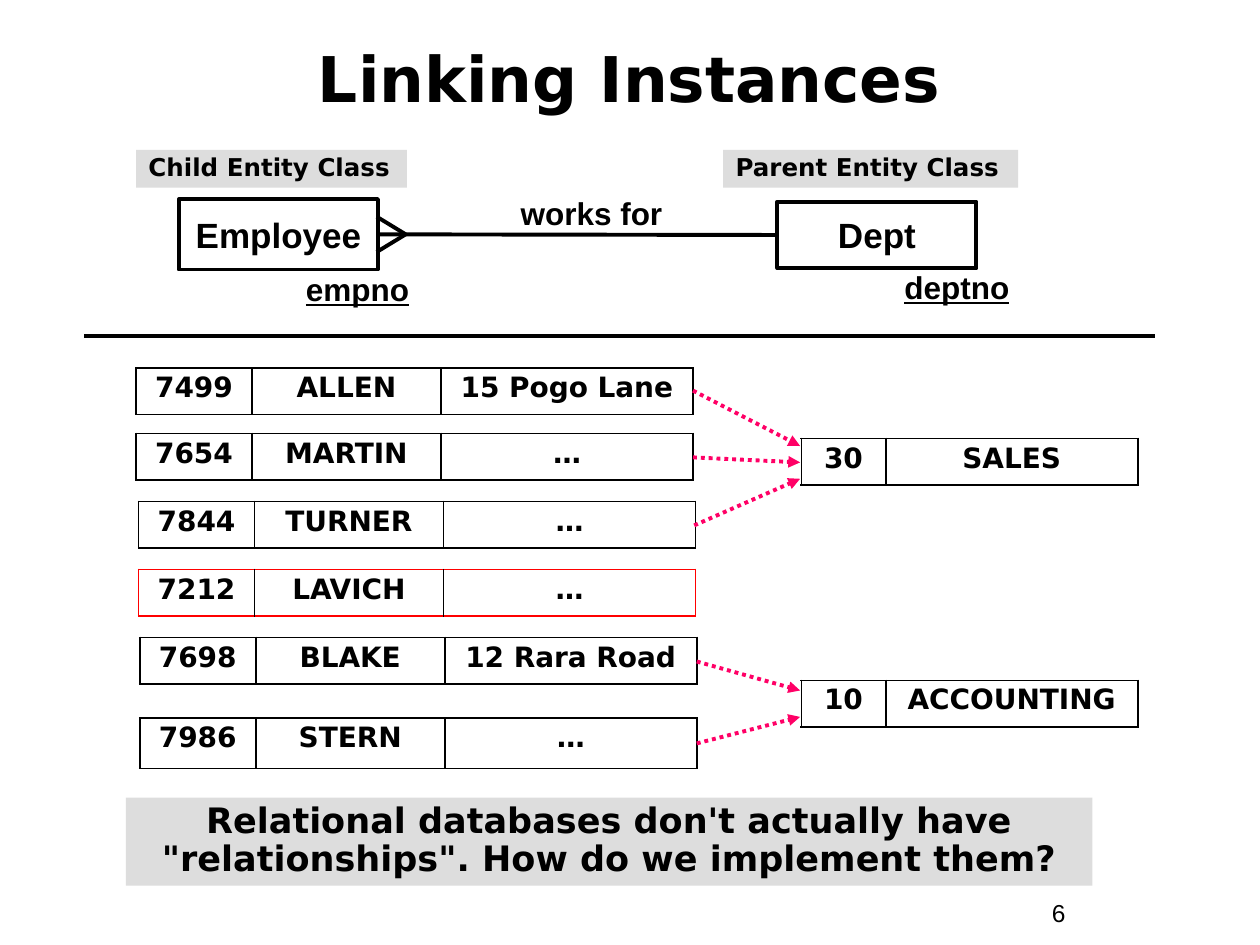
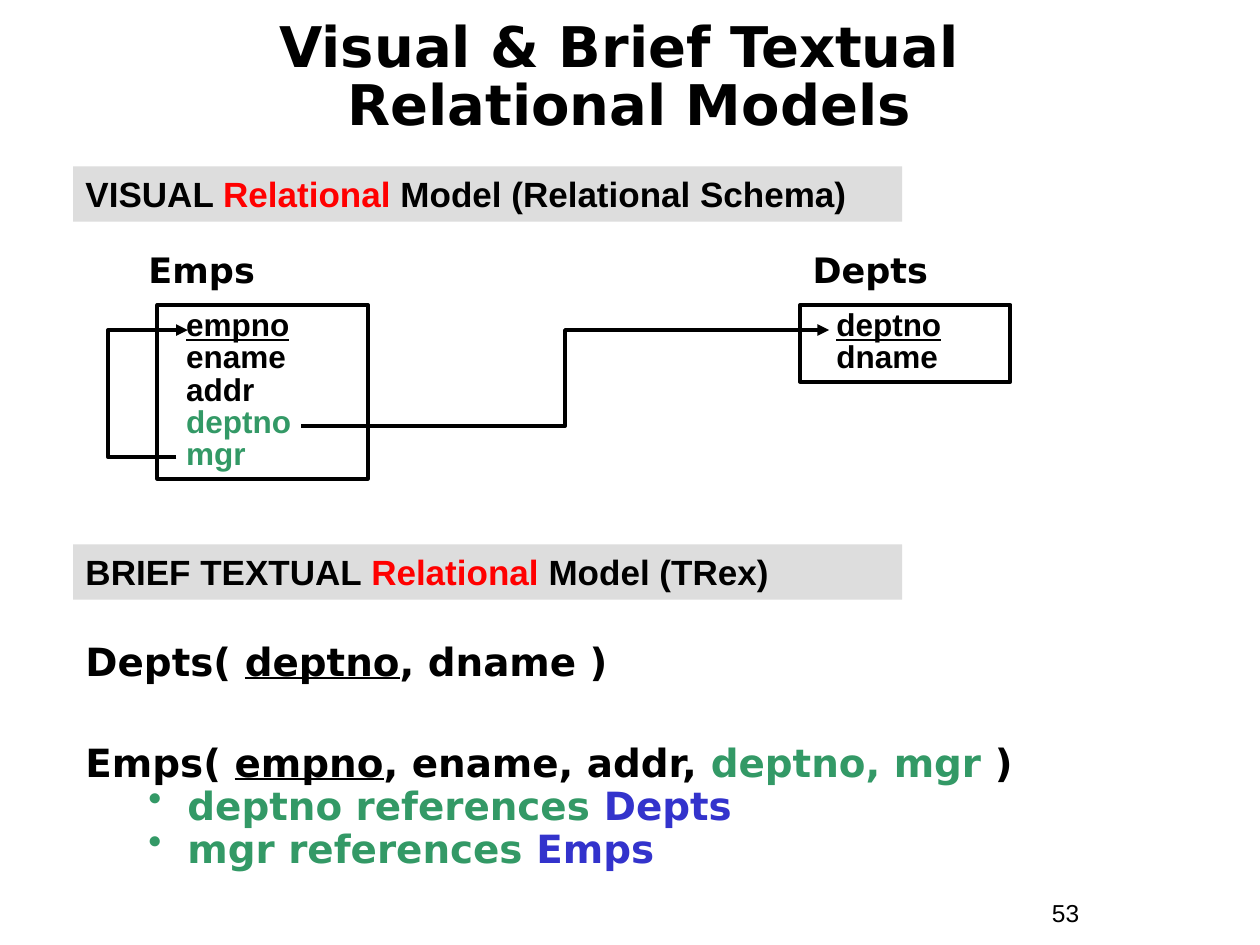
from dataclasses import dataclass

from lxml import etree
from pptx import Presentation
from pptx.dml.color import RGBColor
from pptx.enum.dml import MSO_LINE
from pptx.enum.shapes import MSO_CONNECTOR, MSO_SHAPE
from pptx.enum.text import MSO_ANCHOR, PP_ALIGN
from pptx.oxml.ns import qn
from pptx.util import Inches, Pt

DOTTED = MSO_LINE.ROUND_DOT
STRAIGHT, ELBOW = MSO_CONNECTOR.STRAIGHT, MSO_CONNECTOR.ELBOW
RECT = MSO_SHAPE.RECTANGLE
TOP, MIDDLE = MSO_ANCHOR.TOP, MSO_ANCHOR.MIDDLE
LEFT, CENTER = PP_ALIGN.LEFT, PP_ALIGN.CENTER
RIGHT_SIDE, LEFT_SIDE = 3, 1


@dataclass(frozen=True)
class Theme:
    ink: str = "000000"
    band: str = "DDDDDD"
    red: str = "FF0000"
    link: str = "FF0066"
    foreign_key: str = "339966"
    reference: str = "3333CC"
    sans: str = "Arial"
    display: str = "DejaVu Sans"
    title: float = 36
    long_title: float = 32
    model: float = 22.2
    heading: float = 20
    attribute: float = 18
    cell: float = 16
    small: float = 14
    stroke: float = 2.25
    cell_stroke: float = 1.08


T = Theme()


def rgb(color):
    return RGBColor.from_string(color)


def add_paragraph_text(p, runs, size, font, align=LEFT, spacing=1.0, bold=True):
    p.alignment = align
    p.line_spacing = spacing
    p.font.size = Pt(size)
    p.font.name = font
    p.font.bold = bold
    p.font.color.rgb = rgb(T.ink)
    for text, color, underline in runs:
        r = p.add_run()
        r.text = text
        if color != T.ink:
            r.font.color.rgb = rgb(color)
        if underline:
            r.font.underline = True


def run(text, color=T.ink, underline=False):
    return text, color, underline


def write(tf, lines, size, font, align=LEFT, spacing=1.0, anchor=TOP, bold=True, indent=0):
    tf.word_wrap = True
    tf.vertical_anchor = anchor
    for i, runs in enumerate(lines):
        p = tf.add_paragraph() if i else tf.paragraphs[0]
        if indent:
            p._p.get_or_add_pPr().set("marL", str(Inches(indent)))
        add_paragraph_text(p, runs, size, font, align, spacing, bold)


def add_text(slide, box, lines, size, font, **style):
    s = slide.shapes.add_textbox(*map(Inches, box))
    write(s.text_frame, lines, size, font, **style)
    return s


def add_box(slide, box, lines, size, font, fill=None, **style):
    s = slide.shapes.add_shape(RECT, *map(Inches, box))
    s.shadow.inherit = False
    if fill:
        s.fill.solid()
        s.fill.fore_color.rgb = rgb(fill)
        s.line.fill.background()
    else:
        s.fill.background()
        s.line.color.rgb = rgb(T.ink)
        s.line.width = Pt(T.stroke)
    write(s.text_frame, lines, size, font, **style)
    return s


def add_line(slide, start, end, color=T.ink, kind=STRAIGHT, arrow=False, dash=None, bend=None):
    cn = slide.shapes.add_connector(kind, *map(Inches, (*start, *end)))
    cn.line.color.rgb = rgb(color)
    cn.line.width = Pt(T.stroke)
    if dash:
        cn.line.dash_style = dash
    sp_pr = cn._element.spPr
    if arrow:
        etree.SubElement(sp_pr.find(qn("a:ln")), qn("a:tailEnd"), type="triangle")
    if bend is not None:
        guides = sp_pr.find(qn("a:prstGeom")).find(qn("a:avLst"))
        etree.SubElement(guides, qn("a:gd"), name="adj1", fmla=f"val {round(bend * 100000)}")
    etree.SubElement(sp_pr, qn("a:effectLst"))
    return cn


def set_border(cell, side, color):
    ln = etree.SubElement(cell._tc.get_or_add_tcPr(), qn(f"a:{side}"), w=str(Pt(T.cell_stroke)))
    fill = etree.SubElement(ln, qn("a:solidFill"))
    etree.SubElement(fill, qn("a:srgbClr"), val=color)


def add_record(slide, left, top, height, widths, values, edge=T.ink):
    frame = slide.shapes.add_table(
        1, len(values), *map(Inches, (left, top, sum(widths), height)))
    table = frame.table
    table.first_row = table.horz_banding = False
    table.rows[0].height = Inches(height)
    last = len(values) - 1
    for i, (width, value) in enumerate(zip(widths, values)):
        table.columns[i].width = Inches(width)
        cell = table.cell(0, i)
        write(cell.text_frame, [[run(value)]], T.cell, T.display, align=CENTER, spacing=0.9)
        set_border(cell, "lnL", edge if i == 0 else T.ink)
        set_border(cell, "lnR", edge if i == last else T.ink)
        set_border(cell, "lnT", edge)
        set_border(cell, "lnB", edge)
        cell.fill.background()


def add_frame(prs, title, size, number, top, spacing=1.0):
    slide = prs.slides.add_slide(prs.slide_layouts[6])
    add_text(slide, (8.25, 7.08, 0.92, 0.34), [[run(number)]], T.small, T.sans, bold=False)
    add_text(slide, (0.33, top, 9.33, 0.92), [[run(title)]], size, T.display,
             align=CENTER, spacing=spacing, anchor=MIDDLE)
    return slide


def entity_diagram(slide, x, y):
    for dx, width, label in ((0, 2.15, "Child Entity Class"), (4.66, 2.34, "Parent Entity Class")):
        add_box(slide, (x + dx, y, width, 0.3), [[run(label)]], T.small, T.display,
                fill=T.band, spacing=0.85)
    entities = []
    for dx, dy, height, name, key_dx, key_dy, key in (
            (0.34, 0.39, 0.56, "Employee", 1.25, 0.94, "empno"),
            (5.09, 0.41, 0.53, "Dept", 6, 0.92, "deptno")):
        s = add_box(slide, (x + dx, y + dy, 1.58, height), [[run(name)]],
                    T.heading, T.sans, align=CENTER, anchor=MIDDLE)
        s.text_frame.word_wrap = False
        entities.append(s)
        add_text(slide, (x + key_dx, y + key_dy, 1.17, 0.37), [[run(key, underline=True)]],
                 T.attribute, T.sans, spacing=0.9)
    add_text(slide, (x + 2.78, y + 0.3, 1.67, 0.4), [[run("works for")]],
             T.attribute, T.sans, align=CENTER)
    employee, dept = entities
    relation = add_line(slide, (x + 1.92, y + 0.67), (x + 5.09, y + 0.67))
    relation.begin_connect(employee, RIGHT_SIDE)
    relation.end_connect(dept, LEFT_SIDE)
    for toe in (-0.14, 0.14):
        add_line(slide, (x + 2.14, y + 0.67), (x + 1.91, y + 0.67 + toe))


def instance_tables(slide, x, y):
    employee_widths = (0.92, 1.5, 2)
    for dx, dy, height, values, edge in (
            (0, 0, 0.37, ("7499", "ALLEN", "15 Pogo Lane"), T.ink),
            (0, 0.52, 0.37, ("7654", "MARTIN", "…"), T.ink),
            (0.02, 1.06, 0.37, ("7844", "TURNER", "…"), T.ink),
            (0.02, 1.6, 0.37, ("7212", "LAVICH", "…"), T.red),
            (0.03, 2.14, 0.37, ("7698", "BLAKE", "12 Rara Road"), T.ink),
            (0.03, 2.78, 0.4, ("7986", "STERN", "…"), T.ink)):
        add_record(slide, x + dx, y + dy, height, employee_widths, values, edge)
    for dy, values in ((0.56, ("30", "SALES")), (2.48, ("10", "ACCOUNTING"))):
        add_record(slide, x + 5.28, y + dy, 0.37, (0.67, 2), values)
    for dx, start_dy, end_dy in ((4.42, 0.18, 0.62), (4.42, 0.71, 0.75), (4.43, 1.25, 0.88),
                                 (4.45, 2.33, 2.56), (4.45, 2.98, 2.77)):
        add_line(slide, (x + dx, y + start_dy), (x + 5.27, y + end_dy),
                 T.link, arrow=True, dash=DOTTED)


def linking_instances(prs):
    slide = add_frame(prs, "Linking Instances", T.title, "6", 0.15)
    entity_diagram(slide, 1.08, 1.19)
    add_line(slide, (0.67, 2.67), (9.17, 2.67))
    instance_tables(slide, 1.08, 2.92)
    question = ("Relational databases don't actually have \"relationships\". "
                "How do we implement them?")
    add_box(slide, (1, 6.33, 7.67, 0.7), [[run(question)]], T.heading, T.display,
            fill=T.band, align=CENTER, spacing=0.9)


def model_band(slide, y, before, after):
    add_box(slide, (0.58, y, 6.58, 0.44),
            [[run(before), run("Relational", T.red), run(after)]],
            T.heading, T.sans, fill=T.band)


def schema_diagram(slide, x, y):
    emps = [run("empno", underline=True), run("ename"), run("addr"),
            run("deptno", T.foreign_key), run("mgr", T.foreign_key)]
    depts = [run("deptno", underline=True), run("dname")]
    for name_dx, dx, height, indent, name, attributes in (
            (0, 0.17, 1.38, 0.13, "Emps", emps), (5.27, 5.27, 0.61, 0.19, "Depts", depts)):
        add_text(slide, (x + name_dx, y, 2.15, 0.44), [[run(name)]], T.heading, T.display)
        add_box(slide, (x + dx, y + 0.5, 1.67, height), [[a] for a in attributes],
                T.attribute, T.sans, spacing=0.85, indent=indent)
    add_line(slide, (x + 1.31, y + 1.46), (x + 5.5, y + 0.7), kind=ELBOW, arrow=True)
    add_line(slide, (x + 0.32, y + 1.71), (x + 0.41, y + 0.7), kind=ELBOW, arrow=True, bend=-6)


def add_bullet(p):
    p_pr = p._p.get_or_add_pPr()
    p_pr.set("marL", str(Inches(0.81)))
    p_pr.set("indent", str(Inches(-0.31)))
    color = etree.SubElement(p_pr, qn("a:buClr"))
    etree.SubElement(color, qn("a:srgbClr"), val=T.foreign_key)
    etree.SubElement(p_pr, qn("a:buChar"), char="•")


def textual_model(slide, x, y):
    style = dict(size=T.model, font=T.display, spacing=0.7)
    s = add_text(slide, (x, y, 8.83, 1.83),
                 [[run("Depts( "), run("deptno", underline=True), run(", dname )")],
                  [run("Emps( "), run("empno", underline=True), run(", ename, addr, "),
                   run("deptno, mgr", T.foreign_key), run(" )")]], **style)
    tf = s.text_frame
    tf.margin_top = Inches(0.08)
    tf.paragraphs[1].space_before = Pt(39)
    for key, target in (("deptno", "Depts"), ("mgr", "Emps")):
        p = tf.add_paragraph()
        add_bullet(p)
        p.space_before = Pt(6)
        add_paragraph_text(p, [run(f"{key} references ", T.foreign_key),
                               run(target, T.reference)], **style)


def relational_models(prs):
    slide = add_frame(prs, "Visual & Brief Textual \vRelational Models",
                      T.long_title, "53", 0.17, 0.85)
    for p in slide.shapes[1].text_frame.paragraphs:
        for r in p.runs:
            r.text = r.text.replace("\v", "")
    title = slide.shapes[1].text_frame.paragraphs[0]
    title.clear()
    for i, text in enumerate(("Visual & Brief Textual ", "Relational Models")):
        if i:
            title.add_line_break()
        title.add_run().text = text
    model_band(slide, 1.32, "VISUAL ", " Model (Relational Schema)")
    schema_diagram(slide, 1.08, 1.92)
    model_band(slide, 4.32, "BRIEF TEXTUAL ", " Model (TRex)")
    textual_model(slide, 0.58, 5.08)


def main():
    prs = Presentation()
    prs.slide_width, prs.slide_height = Inches(10), Inches(7.5)
    linking_instances(prs)
    relational_models(prs)
    prs.save("out.pptx")


if __name__ == "__main__":
    main()
